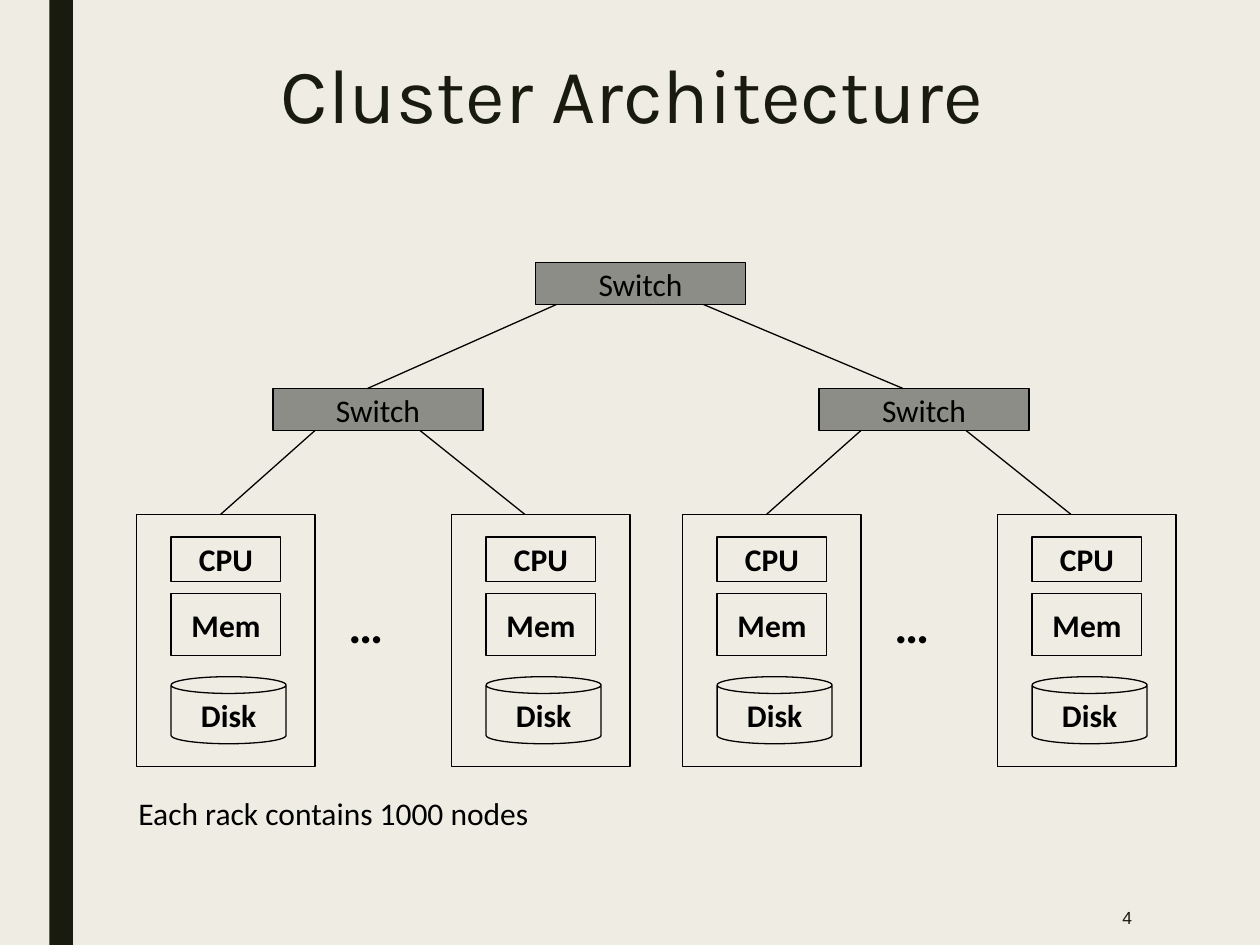
from lxml.etree import SubElement
from pptx import Presentation
from pptx.dml.color import RGBColor
from pptx.enum.shapes import MSO_CONNECTOR, MSO_SHAPE as SHAPE
from pptx.enum.text import MSO_ANCHOR as ANCHOR, MSO_AUTO_SIZE as FIT, PP_ALIGN as ALIGN
from pptx.oxml.ns import qn
from pptx.util import Pt

COLORS = {"bg": "EFEDE3", "dark": "191B0E", "switch": "8C8D86", "ink": "000000"}

TITLE = "Cluster Architecture"
CAPTION = "Each rack contains 1000 nodes"
PAGE = "4"
DOTS = "…"
SWITCH = "Switch"
NODE_PARTS = [
    ("Mem", SHAPE.RECTANGLE, 45.2, 62.7, 35.3),
    ("Disk", SHAPE.CAN, 92.7, 65.7, 38.3),
    ("CPU", SHAPE.RECTANGLE, 12.8, 62.7, 25.6),
]

RACK_LEFTS = (78, 390)
NODE_STEP, NODE_TOP, NODE_W, NODE_H, PART_INSET = 180, 294, 102, 144, 19.8
SWITCH_W, SWITCH_H, SWITCH_TOP, SWITCH_INDENT = 120, 24, 222, 78
ROOT_LEFT, ROOT_TOP = 306, 150
NODE_LINKS = [(102, 48), (162, 222)]
ROOT_LINKS = [(318, 210), (402, 516)]

BODY = {"size": Pt(18), "name": "Calibri", "bold": False}
LABEL = {**BODY, "bold": True}


def rgb(name):
    return RGBColor.from_string(COLORS[name])


def write(sp, text, fmt, color="ink", align=ALIGN.CENTER, anchor=ANCHOR.MIDDLE):
    tf = sp.text_frame
    tf.word_wrap, tf.vertical_anchor = True, anchor
    p = tf.paragraphs[0]
    p.alignment = align
    r = p.add_run()
    r.text = text
    for key, value in fmt.items():
        setattr(r.font, key, value)
    r.font.color.rgb = rgb(color)
    return p


def add_text(s, box, text, fmt, grow=False, **style):
    sp = s.shapes.add_textbox(*map(Pt, box))
    p = write(sp, text, fmt, **style)
    if grow:
        sp.text_frame.auto_size = FIT.SHAPE_TO_FIT_TEXT
    return p


def add_box(shapes, kind, box, fill=None, line="ink"):
    sp = shapes.add_shape(kind, *map(Pt, box))
    sp.shadow.inherit = False
    if fill:
        sp.fill.solid()
        sp.fill.fore_color.rgb = rgb(fill)
    else:
        sp.fill.background()
    if line:
        sp.line.color.rgb, sp.line.width = rgb(line), Pt(0.75)
    else:
        sp.line.fill.background()
    return sp


def add_link(s, *ends):
    ln = s.shapes.add_connector(MSO_CONNECTOR.STRAIGHT, *map(Pt, ends))
    ln.line.color.rgb, ln.line.width = rgb("ink"), Pt(0.75)
    SubElement(ln._element.spPr, qn("a:effectLst"))


def add_switch(s, left, top):
    sp = add_box(s.shapes, SHAPE.RECTANGLE, (left, top, SWITCH_W, SWITCH_H), "switch")
    write(sp, SWITCH, BODY)


def add_node(s, left):
    shapes = s.shapes.add_group_shape().shapes
    for text, kind, dy, w, h in NODE_PARTS:
        sp = add_box(shapes, kind, (left + PART_INSET, NODE_TOP + dy, w, h))
        write(sp, text, LABEL)
    add_box(shapes, SHAPE.RECTANGLE, (left, NODE_TOP, NODE_W, NODE_H))


def add_rack(s, left):
    for i in range(2):
        add_node(s, left + i * NODE_STEP)
    add_text(s, (left + 114, 336, 44, 41), DOTS, {**LABEL, "size": Pt(28)},
             grow=True, align=ALIGN.LEFT, anchor=ANCHOR.TOP)
    add_switch(s, left + SWITCH_INDENT, SWITCH_TOP)
    for start, end in NODE_LINKS:
        add_link(s, left + start, SWITCH_TOP + SWITCH_H, left + end, NODE_TOP)


def main():
    """Build the cluster architecture slide."""
    prs = Presentation()
    prs.slide_width, prs.slide_height = Pt(720), Pt(540)
    s = prs.slides.add_slide(prs.slide_layouts[6])
    s.background.fill.solid()
    s.background.fill.fore_color.rgb = rgb("bg")

    add_box(s.shapes, SHAPE.RECTANGLE, (28.2, 0, 13.5, 540), "dark", None)
    title = add_text(s, (78, -2, 567, 116.5), TITLE,
                     {"size": Pt(44), "name": "Karla"}, color="dark")
    title.line_spacing = 0.89
    add_text(s, (559.5, 508.3, 94.5, 31.7), PAGE,
             {"size": Pt(10), "name": "Arial"}, color="dark", align=ALIGN.RIGHT)

    for left in RACK_LEFTS:
        add_rack(s, left)
    add_text(s, (72, 450, 304.5, 29), CAPTION, BODY,
             grow=True, align=ALIGN.LEFT, anchor=ANCHOR.TOP)
    add_switch(s, ROOT_LEFT, ROOT_TOP)
    for start, end in ROOT_LINKS:
        add_link(s, start, ROOT_TOP + SWITCH_H, end, SWITCH_TOP)

    prs.save("out.pptx")


if __name__ == "__main__":
    main()
